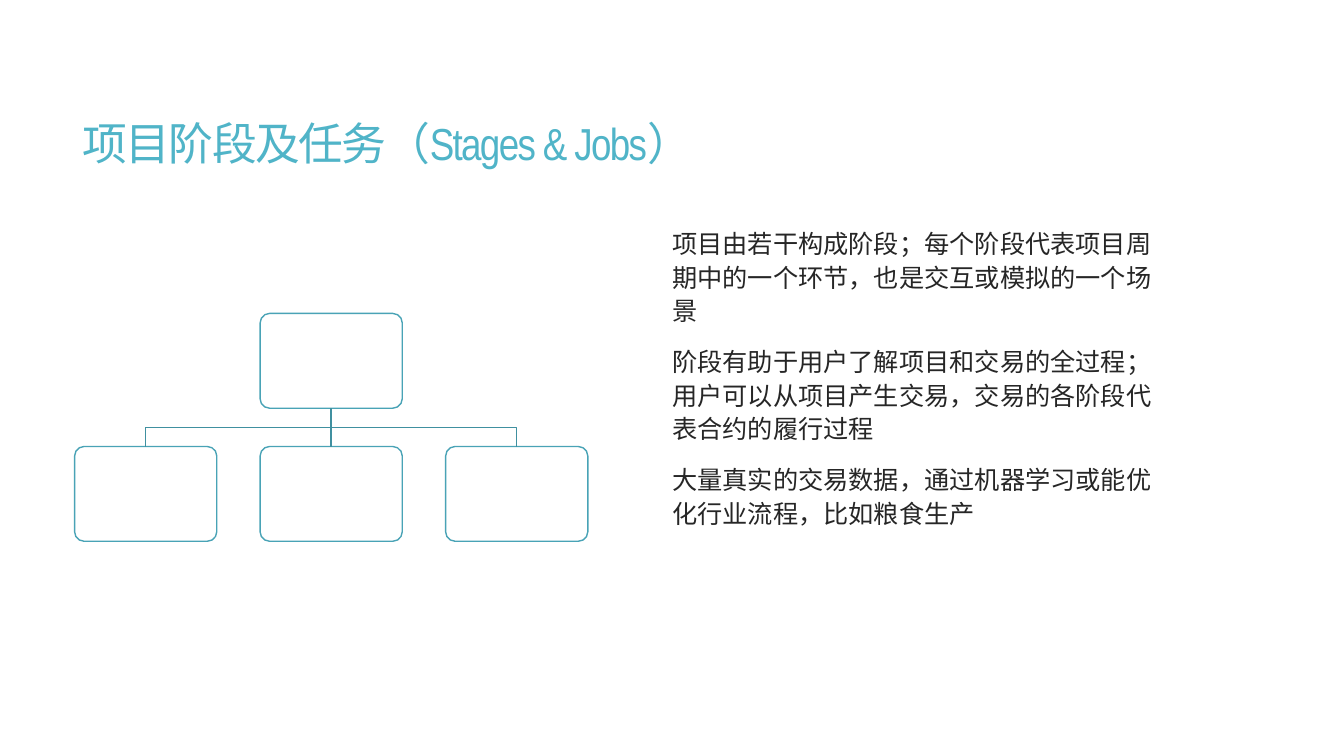
from dataclasses import dataclass
from lxml import etree
from pptx import Presentation, util as u
from pptx.dml.color import RGBColor
from pptx.enum import shapes, text
from pptx.oxml.ns import qn

# Content
CJK, LATIN = "Noto Sans CJK SC", "Arial Narrow"
TITLE = [[("项目阶段及任务（", CJK), ("Stages & Jobs", LATIN), ("）", CJK)]]
BODY = [
    [("项目由若干构成阶段；每个阶段代表项目周期中的一个环节，也是交互或模拟的一个场景", CJK)],
    [("阶段有助于用户了解项目和交易的全过程；用户可以从项目产生交易，交易的各阶段代表合约的履行过程", CJK)],
    [("大量真实的交易数据，通过机器学习或能优化行业流程，比如粮食生产", CJK)],
]
JOB_COUNT = 3


@dataclass(frozen=True)
class Theme:
    title: str = "50B4C8"
    body: str = "262626"
    box_fill: str = "FFFFFF"
    box_line: str = "49A3B6"
    link: str = "4090A0"
    title_size: int = 32
    body_size: int = 18
    line_width: int = 1


T = Theme()

# Grid of the tree, in inches
LEFT, TOP = 0.74, 3.11
BOX_W, BOX_H = 1.41, 0.94
COL, ROW = 1.84, 1.32

prs = Presentation()
prs.slide_width, prs.slide_height = u.Inches(13.33), u.Inches(7.5)
s = prs.slides.add_slide(prs.slide_layouts[6])


def add_text(paragraphs, box, *, size, color, line=1.0, before=0, tracking=0,
             anchor=text.MSO_ANCHOR.TOP):
    sp = s.shapes.add_textbox(*map(u.Inches, box))
    tf = sp.text_frame
    tf.word_wrap, tf.vertical_anchor = True, anchor
    for i, runs in enumerate(paragraphs):
        p = tf.add_paragraph() if i else tf.paragraphs[0]
        p.line_spacing, p.space_before = line, u.Pt(before)
        for content, font in runs:
            r = p.add_run()
            r.text = content
            r.font.name, r.font.size = font, u.Pt(size)
            r.font.color.rgb = RGBColor.from_string(color)
            if tracking:
                r._r.get_or_add_rPr().set("spc", str(round(tracking * 100)))
            etree.SubElement(r._r.get_or_add_rPr(), qn("a:ea"), typeface=font)


def style_line(sp, color):
    sp.line.color.rgb = RGBColor.from_string(color)
    sp.line.width = u.Pt(T.line_width)


def add_box(col, row):
    sp = s.shapes.add_shape(
        shapes.MSO_SHAPE.ROUNDED_RECTANGLE, u.Inches(LEFT + col * COL),
        u.Inches(TOP + row * ROW), u.Inches(BOX_W), u.Inches(BOX_H))
    sp.adjustments[0] = 0.1
    sp.shadow.inherit = False
    sp.fill.solid()
    sp.fill.fore_color.rgb = RGBColor.from_string(T.box_fill)
    style_line(sp, T.box_line)
    return sp


def link(parent, child):
    x1, y1 = parent.left + parent.width // 2, parent.top + parent.height
    x2, y2 = child.left + child.width // 2, child.top
    if parent.left == child.left:
        sp = s.shapes.add_connector(shapes.MSO_CONNECTOR.STRAIGHT, x1, y1, x2, y2)
        sp.begin_connect(parent, 2)
        sp.end_connect(child, 0)
        etree.SubElement(sp._element.spPr, qn("a:effectLst"))
        style_line(sp, T.link)
        return
    middle = (y1 + y2) // 2
    path_builder = s.shapes.build_freeform(x1, y1)
    path_builder.add_line_segments([(x1, middle), (x2, middle), (x2, y2)], close=False)
    sp = path_builder.convert_to_shape()
    sp.shadow.inherit = False
    sp.fill.background()
    style_line(sp, T.link)


# Title
add_text(TITLE, (0.72, 0.55, 11.78, 1.81), size=T.title_size, color=T.title,
         line=0.85, tracking=-1.2, anchor=text.MSO_ANCHOR.MIDDLE)

# Stage with its jobs below
stage = add_box((JOB_COUNT - 1) / 2, 0)
for i in range(JOB_COUNT):
    link(stage, add_box(i, 1))

# Explanation
add_text(BODY, (6.57, 2.19, 5.1, 4.12), size=T.body_size, color=T.body,
         line=1.1, before=13)

prs.save("out.pptx")
